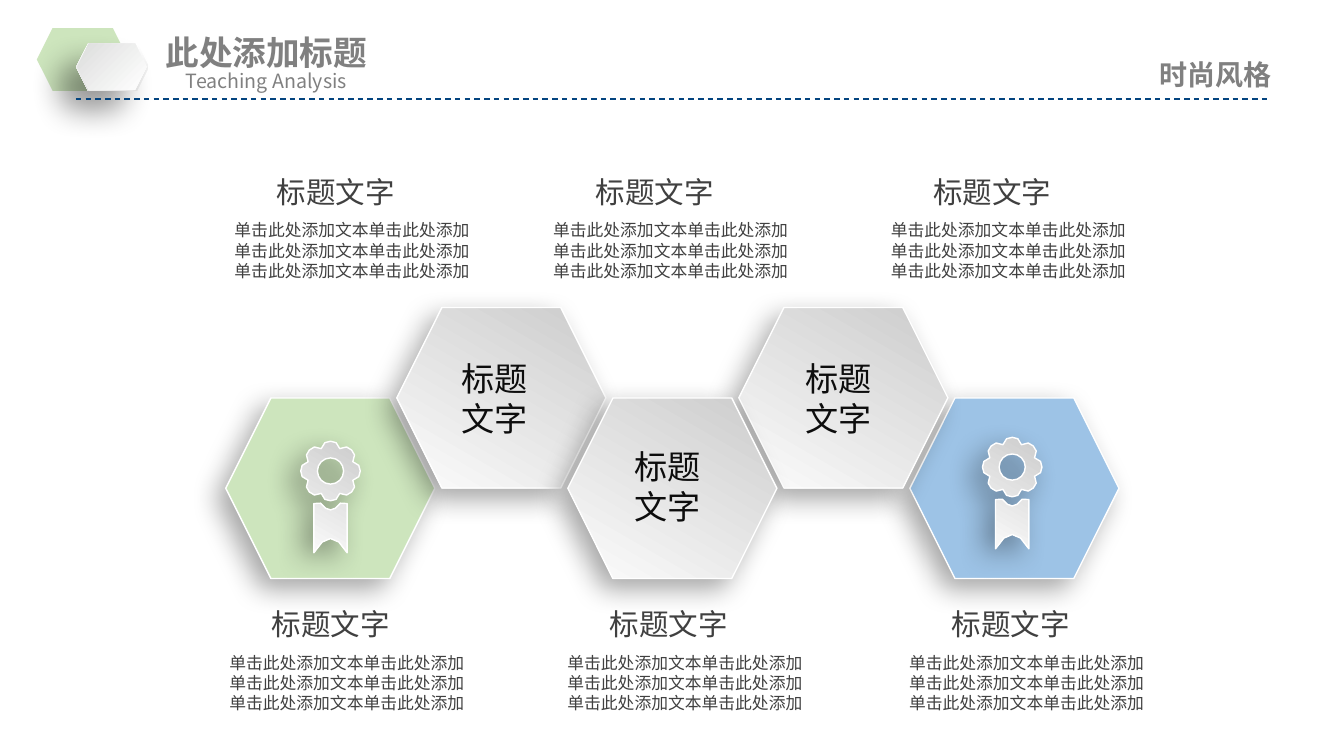
import math

from lxml import etree
from pptx import Presentation
from pptx.dml.color import RGBColor
from pptx.enum.dml import MSO_LINE
from pptx.enum.shapes import MSO_CONNECTOR, MSO_SHAPE
from pptx.enum.text import MSO_ANCHOR, MSO_AUTO_SIZE, PP_ALIGN
from pptx.oxml.ns import qn
from pptx.util import Cm, Pt

HEXAGON = MSO_SHAPE.HEXAGON
STRAIGHT = MSO_CONNECTOR.STRAIGHT
DASH = MSO_LINE.DASH
TOP, MIDDLE = MSO_ANCHOR.TOP, MSO_ANCHOR.MIDDLE
LEFT, CENTER = PP_ALIGN.LEFT, PP_ALIGN.CENTER
GROW = MSO_AUTO_SIZE.SHAPE_TO_FIT_TEXT

FONT = "Noto Sans CJK SC"
GREEN, BLUE, EDGE = "CDE5BD", "9DC3E6", "FFFFFF"
GREY, DARK, BLACK, NAVY = "808080", "404040", "0D0D0D", "04447F"
SILVER = ("CCCCCC", "FCFCFC", 120)
SOFT_SHADOW = (34, 20, 10, 136)
DEFAULT_INSETS = (0.25, 0.13, 0.25, 0.13)
HEADER_INSETS = (0.2, 0.1, 0.2, 0.1)
HEXAGON_SIZE = (5.27, 4.55)


def color(value):
    return RGBColor.from_string(value)


def paint(shape, fill, edge=None, shadow=None):
    """Fill is a hex colour or (start, end, clockwise angle); shadow is (alpha, blur, distance, angle)."""
    if isinstance(fill, str):
        shape.fill.solid()
        shape.fill.fore_color.rgb = color(fill)
    else:
        start, end, angle = fill
        shape.fill.gradient()
        shape.fill.gradient_angle = 360 - angle
        for stop, value in zip(shape.fill.gradient_stops, (start, end)):
            stop.color.rgb = color(value)
    if edge:
        shape.line.color.rgb = color(edge)
        shape.line.width = Pt(1)
    else:
        shape.line.fill.background()
    shape.shadow.inherit = False
    if shadow:
        alpha, blur, distance, angle = shadow
        effects = shape._element.spPr.find(qn("a:effectLst"))
        outer = etree.SubElement(effects, qn("a:outerShdw"), blurRad=str(Pt(blur)),
                                 dist=str(Pt(distance)), dir=str(angle * 60000),
                                 algn="ctr", rotWithShape="0")
        black = etree.SubElement(outer, qn("a:srgbClr"), val="000000")
        etree.SubElement(black, qn("a:alpha"), val=str(alpha * 1000))


def add_hexagon(slide, box, fill, edge=None, shadow=None, flipped=False):
    shape = slide.shapes.add_shape(HEXAGON, *map(Cm, box))
    paint(shape, fill, edge, shadow)
    if flipped:
        shape._element.spPr.xfrm.set("flipH", "1")


def add_text(slide, box, lines, size, value, bold=False, align=LEFT,
             anchor=TOP, insets=DEFAULT_INSETS, wrap=False):
    frame = slide.shapes.add_textbox(*map(Cm, box)).text_frame
    frame.word_wrap = wrap
    frame.auto_size = GROW
    frame.vertical_anchor = anchor
    (frame.margin_left, frame.margin_top,
     frame.margin_right, frame.margin_bottom) = map(Cm, insets)
    for index, line in enumerate(lines):
        paragraph = frame.add_paragraph() if index else frame.paragraphs[0]
        paragraph.alignment = align
        run = paragraph.add_run()
        run.text = line
        run.font.size = Pt(size)
        run.font.bold = bold
        run.font.color.rgb = color(value)
        run.font.name = FONT
        etree.SubElement(run.font._element, qn("a:ea"), typeface=FONT)


def add_header(slide, left, top, width):
    add_text(slide, (left + 3.5, top + 0.92, 4.57, 0.79), ["Teaching Analysis"], 14, GREY,
             align=CENTER, insets=HEADER_INSETS)
    add_hexagon(slide, (left, top, 2.31, 1.58), GREEN)
    add_hexagon(slide, (left + 0.13, top + 0.09, 2.05, 1.4), GREEN)
    add_hexagon(slide, (left + 0.99, top + 0.37, 1.83, 1.22), ("FFFFFF", "E0E0E0", 90),
                shadow=(40, 22, 20, 135), flipped=True)
    add_hexagon(slide, (left + 1.02, top + 0.39, 1.75, 1.17), ("FFFFFF", "DDDEDD", 315),
                flipped=True)
    add_text(slide, (left + 3.04, top - 0.02, 5.51, 1.22), ["此处添加标题"], 24, GREY,
             bold=True, anchor=MIDDLE, insets=HEADER_INSETS)
    rule = slide.shapes.add_connector(STRAIGHT, Cm(left + 0.98), Cm(top + 1.78),
                                      Cm(left + width - 0.29), Cm(top + 1.78))
    rule.line.color.rgb = color(NAVY)
    rule.line.width = Pt(1)
    rule.line.dash_style = DASH
    etree.SubElement(rule._element.spPr, qn("a:effectLst"))
    add_text(slide, (left + width - 3.21, top + 0.64, 3.23, 1.04), ["时尚风格"], 20, GREY,
             bold=True, anchor=MIDDLE, insets=HEADER_INSETS)


def ring(radius_at, steps):
    angles = [2 * math.pi * step / steps for step in range(steps)]
    return [(radius_at(a) * math.cos(a), radius_at(a) * math.sin(a)) for a in angles]


def curve(start, control, end, steps=4):
    """Points along a quadratic curve."""
    ratios = [step / steps for step in range(steps + 1)]
    return [tuple((1 - t) ** 2 * a + 2 * t * (1 - t) * b + t * t * c
                  for a, b, c in zip(start, control, end)) for t in ratios]


def add_medal(slide, center_x, center_y):
    rosette = ring(lambda angle: 0.61 + 0.14 * math.sqrt(abs(math.cos(4 * angle))), 32)
    hole = ring(lambda angle: 0.33, 16)
    ribbon = ([(-0.42, 0.82)] + curve((-0.25, 0.81), (0, 1.15), (0.25, 0.81))
              + [(0.42, 0.82)] + curve((0.42, 2.06), (0, 1.34), (-0.42, 2.06)))
    outlines = [[(Cm(center_x + x), Cm(center_y + y)) for x, y in outline]
                for outline in (rosette, hole, ribbon)]
    builder = slide.shapes.build_freeform(*outlines[0][0])
    for index, outline in enumerate(outlines):
        if index:
            builder.move_to(*outline[0])
        builder.add_line_segments(outline[1:], close=True)
    paint(builder.convert_to_shape(), SILVER, EDGE, SOFT_SHADOW)


def add_hexagon_chain(slide, left, top):
    """Five hexagons, alternately low and high, with medals on the outer two."""
    pitch, drop = 4.31, 2.28
    medals = {0: (GREEN, 2.64, 1.84), 4: (BLUE, 2.58, 1.74)}
    label_offsets = {1: (1.38, 1.16), 2: (1.43, 1.1), 3: (1.44, 1.16)}
    for position in (0, 4, 1, 3, 2):
        x = left + position * pitch
        y = top + (0 if position % 2 else drop)
        fill = medals[position][0] if position in medals else SILVER
        add_hexagon(slide, (x, y, *HEXAGON_SIZE), fill, EDGE, SOFT_SHADOW)
        if position in medals:
            medal_x, medal_y = medals[position][1:]
            add_medal(slide, x + medal_x, y + medal_y)
        else:
            label_x, label_y = label_offsets[position]
            add_text(slide, (x + label_x, y + label_y, 2.21, 2.29), ["标题", "文字"],
                     23.7, BLACK)


def add_caption(slide, left, top):
    add_text(slide, (left, top + 1.17, 6.48, 1.68), ["单击此处添加文本单击此处添加"] * 3,
             12, DARK, insets=(0, 0, 0.25, 0.13), wrap=True)
    add_text(slide, (left + 1.05, top, 3.02, 0.89), ["标题文字"], 21.1, DARK,
             align=CENTER, insets=(0, 0, 0, 0))


def main():
    presentation = Presentation()
    presentation.slide_width, presentation.slide_height = Cm(33.87), Cm(19.05)
    slide = presentation.slides.add_slide(presentation.slide_layouts[6])
    add_header(slide, 0.93, 0.71, 31.31)
    add_hexagon_chain(slide, 5.69, 7.75)
    for top, lefts in ((15.27, (5.78, 14.3, 22.91)), (4.38, (5.91, 13.94, 22.45))):
        for left in lefts:
            add_caption(slide, left, top)
    presentation.save("out.pptx")


if __name__ == "__main__":
    main()
